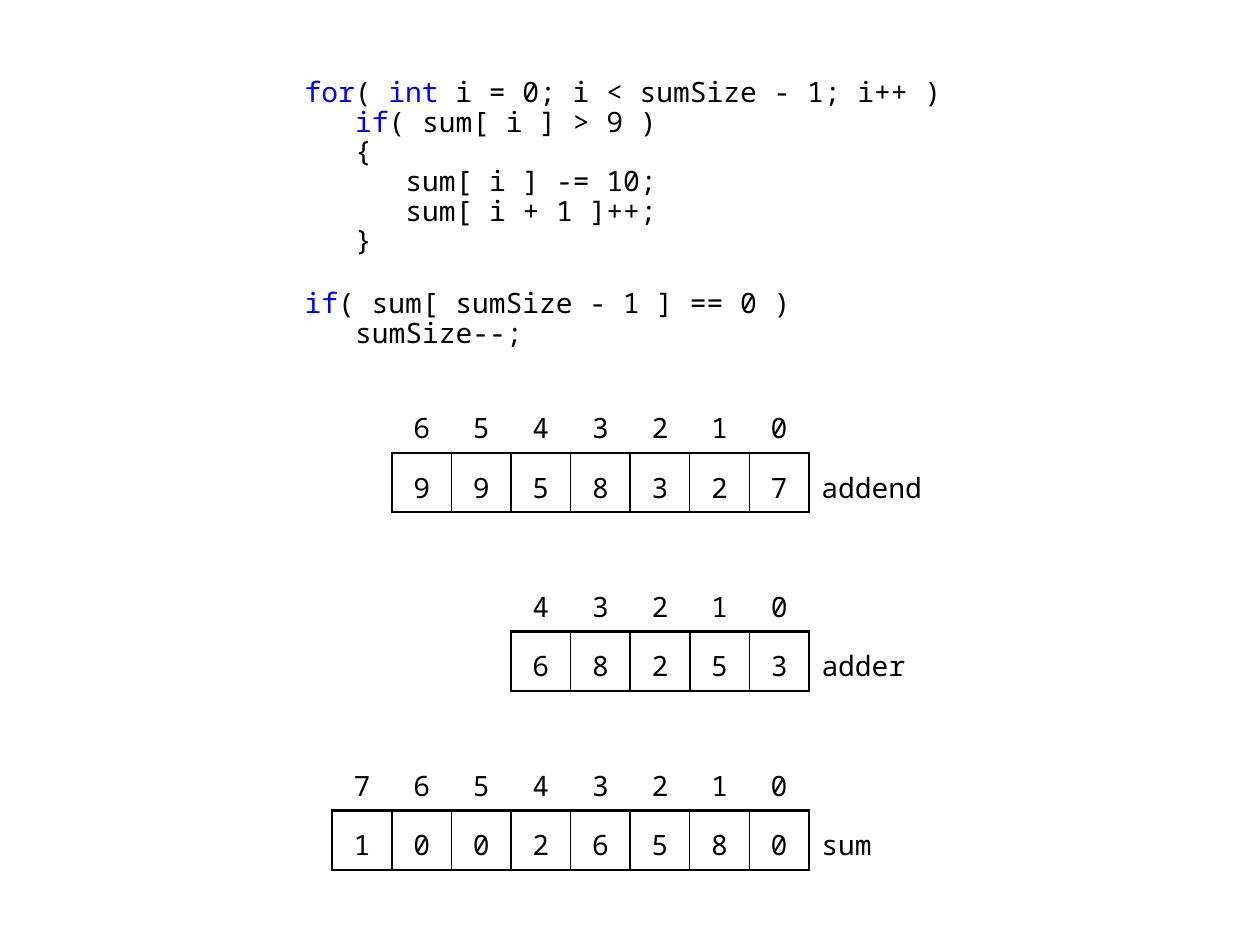
"""Build a slide with the carry loop of big-integer addition and its digit arrays."""
from lxml import etree
from pptx import Presentation
from pptx.dml.color import RGBColor
from pptx.enum.text import MSO_ANCHOR, PP_ALIGN
from pptx.oxml.ns import qn
from pptx.util import Inches, Pt

MIDDLE = MSO_ANCHOR.MIDDLE
LEFT, CENTER = PP_ALIGN.LEFT, PP_ALIGN.CENTER
BLACK = RGBColor(0x00, 0x00, 0x00)
BLUE = RGBColor(0x00, 0x00, 0xFF)
FONT = "Noto Sans Mono"
PLAIN_TABLE = "{2D5ABB26-0587-4C30-8999-92F81FD0307C}"
THICK, THIN = 1.5, 1

CODE = [
    (0, [("for", BLUE), ("( ", BLACK), ("int", BLUE),
         (" i = 0; i < sumSize - 1; i++ )", BLACK)]),
    (1, [("if", BLUE), ("( sum[ i ] > 9 )", BLACK)]),
    (1, [("{", BLACK)]),
    (2, [("sum[ i ] -= 10;", BLACK)]),
    (2, [("sum[ i + 1 ]++;", BLACK)]),
    (1, [("}", BLACK)]),
    (0, [("if", BLUE), ("( sum[ sumSize - 1 ] == 0 )", BLACK)]),
    (1, [("sumSize--;", BLACK)]),
]
SECOND_BLOCK = 6

ARRAYS = [("addend", "9958327", 1.1), ("adder", "68253", 0.94), ("sum", "10026580", 0.63)]
CELL = Inches(3.31) // 7
ARRAY_RIGHT = Inches(6.42)
FIRST_TOP, TOP_STEP = Inches(3.12), Inches(1.42)


def add_text(para, text, color=BLACK, align=LEFT, spacing=1.25):
    para.alignment = align
    para.line_spacing = spacing
    span = para.add_run()
    span.text = text
    span.font.name = FONT
    span.font.size = Pt(16)
    span.font.color.rgb = color


def set_borders(cell, **widths):
    properties = cell._tc.get_or_add_tcPr()
    for index, side in enumerate("LRTB"):
        line = etree.Element(qn(f"a:ln{side}"))
        if side in widths:
            line.set("w", str(Pt(widths[side])))
            fill = etree.SubElement(line, qn("a:solidFill"))
            etree.SubElement(fill, qn("a:srgbClr"), val=str(BLACK))
        else:
            etree.SubElement(line, qn("a:noFill"))
        properties.insert(index, line)


deck = Presentation()
deck.slide_width, deck.slide_height = Inches(10), Inches(7.5)
page = deck.slides.add_slide(deck.slide_layouts[6])

box = page.shapes.add_textbox(Inches(2.32), Inches(0.44), Inches(5.36), Inches(2.52))
frame = box.text_frame
frame.word_wrap = True
frame.vertical_anchor = MIDDLE
for number, (depth, spans) in enumerate(CODE):
    para = frame.add_paragraph() if number else frame.paragraphs[0]
    para._p.get_or_add_pPr().set("marL", str(Inches(0.4) * depth))
    if number == SECOND_BLOCK:
        para.space_before = Pt(19.2)
    for text, color in spans:
        add_text(para, text, color=color, spacing=0.88)

for number, (name, digits, label_width) in enumerate(ARRAYS):
    count = len(digits)
    holder = page.shapes.add_table(
        2, count + 1, ARRAY_RIGHT - count * CELL, FIRST_TOP + number * TOP_STEP,
        count * CELL + Inches(label_width), 2 * CELL)
    table = holder.table
    table.first_row = table.horz_banding = False
    table._tbl.tblPr.find(qn("a:tableStyleId")).text = PLAIN_TABLE
    for row in table.rows:
        row.height = CELL
    for column in table.columns:
        column.width = CELL
    table.columns[count].width = Inches(label_width)

    for cell in table.iter_cells():
        cell.fill.background()
        cell.vertical_anchor = MIDDLE
        cell.margin_top = cell.margin_bottom = Inches(0.02)

    for position, digit in enumerate(digits):
        index_cell, digit_cell = table.cell(0, position), table.cell(1, position)
        add_text(index_cell.text_frame.paragraphs[0], str(count - 1 - position), align=CENTER)
        add_text(digit_cell.text_frame.paragraphs[0], digit, align=CENTER)
        set_borders(index_cell, B=THICK)
        set_borders(digit_cell, T=THICK, B=THICK,
                    L=THIN if position else THICK,
                    R=THIN if position < count - 1 else THICK)

    label_cell = table.cell(1, count)
    add_text(label_cell.text_frame.paragraphs[0], name)
    set_borders(table.cell(0, count))
    set_borders(label_cell, L=THICK)

deck.save("out.pptx")
